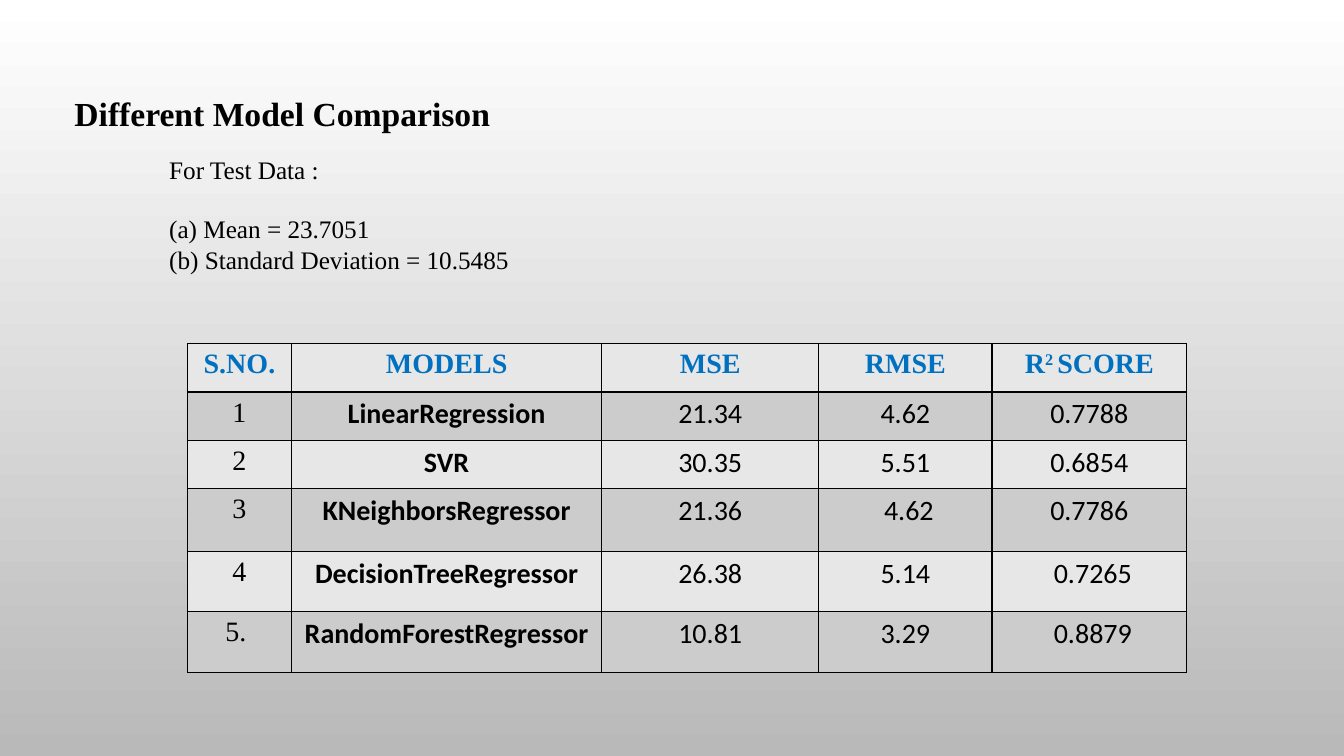
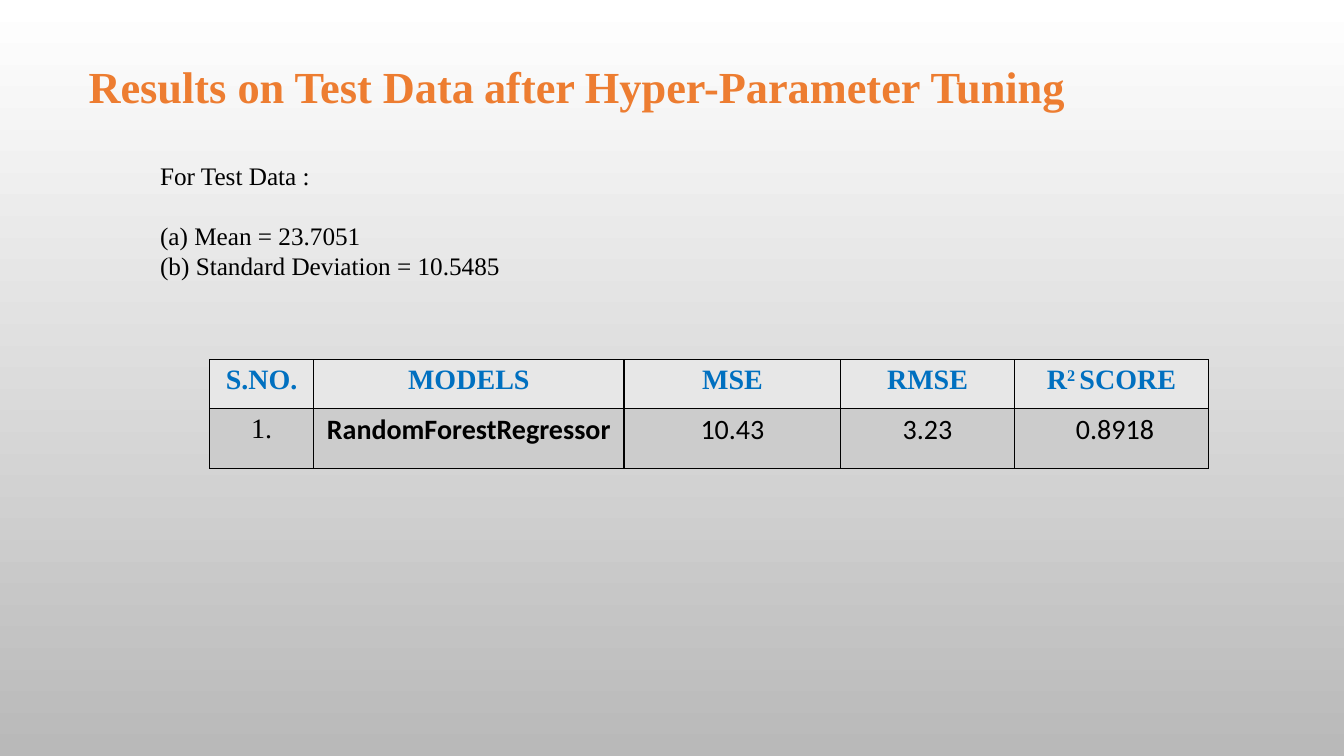
from lxml import etree
from pptx import Presentation
from pptx.dml.color import RGBColor
from pptx.enum.text import MSO_AUTO_SIZE, PP_ALIGN
from pptx.oxml.ns import qn
from pptx.util import Inches, Pt

# Shared style
BLACK = RGBColor(0x00, 0x00, 0x00)
WHITE = RGBColor(0xFF, 0xFF, 0xFF)
GREY = RGBColor(0xB9, 0xB9, 0xB9)
BLUE = RGBColor(0x00, 0x70, 0xC0)
ORANGE = RGBColor(0xED, 0x7D, 0x31)
ROW_FILLS = (RGBColor(0xE7, 0xE7, 0xE7), RGBColor(0xCC, 0xCC, 0xCC))
SERIF, SANS = "Times New Roman", "Calibri"

COL_WIDTHS = (1.03, 3.08, 2.15, 1.72, 1.93)
HEADER_HEIGHT = 0.48
HEADINGS = ("S.NO.", "MODELS", "MSE", "RMSE")

# Row height, then the cell texts
COMPARISON = (
    (0.48, ("1", "LinearRegression", "21.34", "4.62", "0.7788")),
    (0.48, ("2", "SVR", "30.35", "5.51", "0.6854")),
    (0.62, ("3", "KNeighborsRegressor", "21.36", " 4.62", "0.7786")),
    (0.6, ("4", "DecisionTreeRegressor", "26.38", "5.14", " 0.7265")),
    (0.6, ("5. ", "RandomForestRegressor", "10.81", "3.29", " 0.8879")),
)
TUNED = ((0.6, ("1.", "RandomForestRegressor", "10.43", "3.23", " 0.8918")),)


def add_run(p, text, size, font=SERIF, color=BLACK, bold=False):
    r = p.add_run()
    r.text = text
    r.font.size = Pt(size)
    r.font.name = font
    r.font.color.rgb = color
    r.font.bold = bold
    return r


def add_slide(prs):
    s = prs.slides.add_slide(prs.slide_layouts[6])
    fill = s.background.fill
    fill.gradient()
    fill.gradient_angle = 270
    for stop, color in zip(fill.gradient_stops, (WHITE, GREY)):
        stop.color.rgb = color
    return s


def add_text_box(s, left, top, width, height):
    sp = s.shapes.add_textbox(Inches(left), Inches(top), Inches(width), Inches(height))
    tf = sp.text_frame
    tf.word_wrap = True
    tf.auto_size = MSO_AUTO_SIZE.SHAPE_TO_FIT_TEXT
    return tf


def add_title(s, box, parts, size, color, gap_size=28):
    """Title whose parts are joined by spaces of their own size."""
    p = add_text_box(s, *box).paragraphs[0]
    for i, part in enumerate(parts):
        if i:
            add_run(p, " ", gap_size, color=color, bold=True)
        add_run(p, part, size, color=color, bold=True)


def add_statistics(s, left, top):
    tf = add_text_box(s, left, top, 6.87, 1.31)
    add_run(tf.paragraphs[0], "For Test Data :", 18)
    for text, gap in (("(a) Mean = 23.7051", 21), ("(b) Standard Deviation = 10.5485", 0)):
        p = tf.add_paragraph()
        p.space_before = Pt(gap)
        add_run(p, text, 18)


def style_cell(cell, color):
    cell.fill.solid()
    cell.fill.fore_color.rgb = color
    tc_pr = cell._tc.get_or_add_tcPr()
    # Borders come before the fill
    for i, side in enumerate(("a:lnL", "a:lnR", "a:lnT", "a:lnB")):
        ln = etree.Element(qn(side), w=str(Pt(1)))
        solid = etree.SubElement(ln, qn("a:solidFill"))
        etree.SubElement(solid, qn("a:srgbClr"), val=str(BLACK))
        tc_pr.insert(i, ln)
    p = cell.text_frame.paragraphs[0]
    p.alignment = PP_ALIGN.CENTER
    return p


def add_results_table(s, left, top, rows):
    heights = [HEADER_HEIGHT] + [height for height, _ in rows]
    frame = s.shapes.add_table(len(heights), len(COL_WIDTHS), Inches(left), Inches(top),
                               Inches(sum(COL_WIDTHS)), Inches(sum(heights)))
    table = frame.table
    table.first_row = table.horz_banding = False
    for col, width in zip(table.columns, COL_WIDTHS):
        col.width = Inches(width)
    for row, height in zip(table.rows, heights):
        row.height = Inches(height)

    # Header row
    header = [style_cell(cell, ROW_FILLS[0]) for cell in table.rows[0].cells]
    for p, text in zip(header, HEADINGS):
        add_run(p, text, 20, color=BLUE, bold=True)
    for text in ("R", "2 ", "SCORE"):
        r = add_run(header[-1], text, 20, color=BLUE, bold=True)
        if text == "2 ":
            r.font._element.set("baseline", "30000")

    # Model rows
    for i, (_, texts) in enumerate(rows, 1):
        for j, text in enumerate(texts):
            p = style_cell(table.cell(i, j), ROW_FILLS[i % 2])
            if text.startswith(" "):
                add_run(p, " ", 20)
            add_run(p, text.lstrip(), 20, SANS if j else SERIF, bold=j == 1)


def build_comparison(prs):
    s = add_slide(prs)
    add_title(s, (0.64, 0.87, 6.03, 0.5), ("Different Model Comparison",), 24, BLACK)
    add_statistics(s, 1.58, 1.48)
    add_results_table(s, 1.86, 3.41, COMPARISON)


def build_tuning(prs):
    s = add_slide(prs)
    parts = ("Results on Test Data", "after", "Hyper-Parameter", "Tuning")
    add_title(s, (0.78, 0.54, 10.44, 0.64), parts, 31.7, ORANGE)
    add_statistics(s, 1.49, 1.54)
    add_results_table(s, 2.08, 3.57, TUNED)


def main():
    prs = Presentation()
    prs.slide_width, prs.slide_height = Inches(13.33), Inches(7.5)
    build_comparison(prs)
    build_tuning(prs)
    prs.save("out.pptx")


if __name__ == "__main__":
    main()
